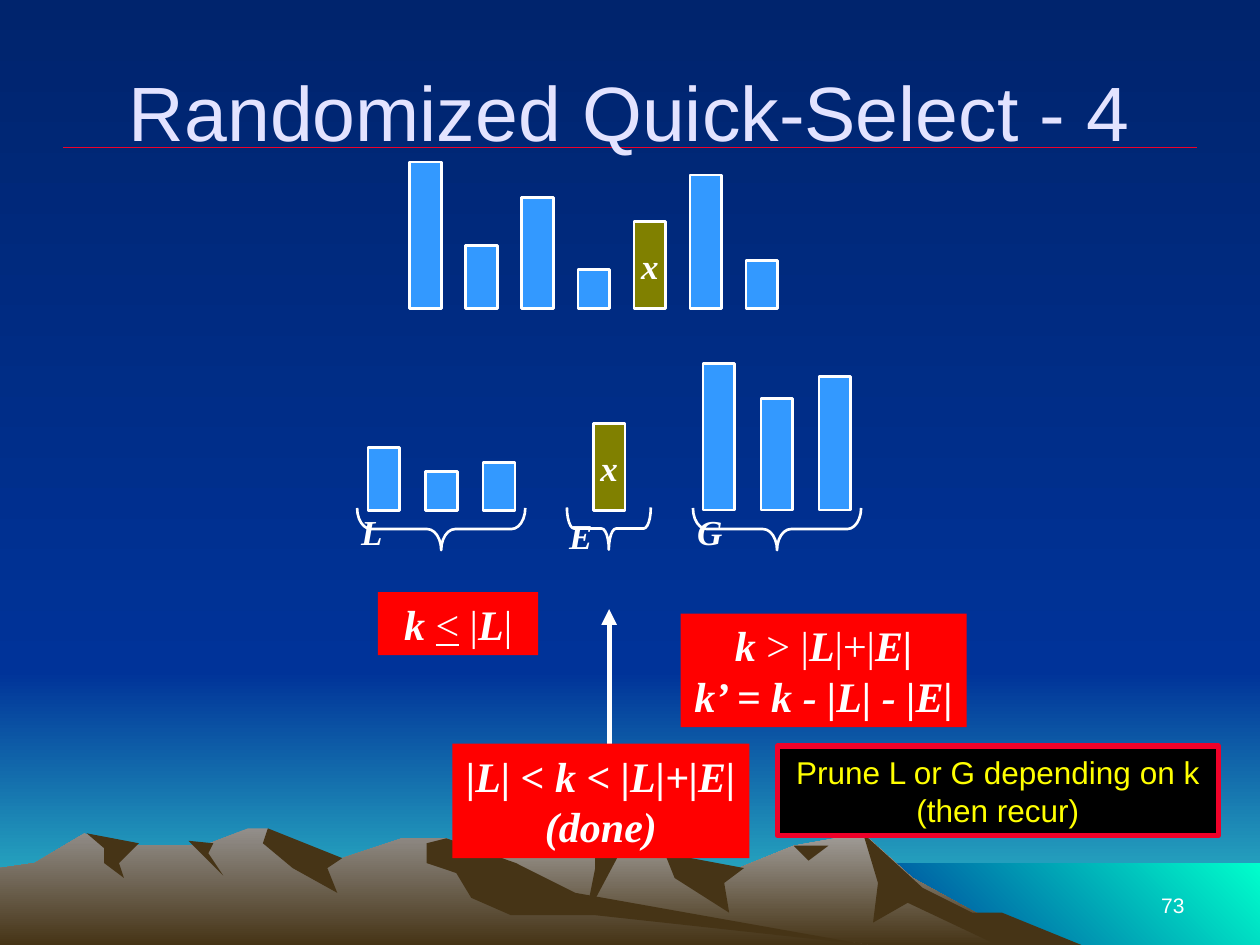
from lxml import etree
from pptx import Presentation
from pptx.dml.color import RGBColor
from pptx.enum.shapes import MSO_CONNECTOR, MSO_SHAPE
from pptx.enum.text import MSO_ANCHOR, MSO_AUTO_SIZE, PP_ALIGN
from pptx.oxml.ns import qn
from pptx.util import Cm, Pt

WHITE = RGBColor.from_string("FFFFFF")
LAVENDER = RGBColor.from_string("E3E3FF")
YELLOW = RGBColor.from_string("FFFF00")
BLACK = RGBColor.from_string("000000")
RED = RGBColor.from_string("FF0000")
CRIMSON = RGBColor.from_string("EF0129")
BLUE = RGBColor.from_string("3399FF")
OLIVE = RGBColor.from_string("808000")
NAVY = RGBColor.from_string("00246D")
ROYAL = RGBColor.from_string("003399")
TEAL = RGBColor.from_string("33CCCC")
AQUA = RGBColor.from_string("00FFCC")
STONE = RGBColor.from_string("A5A29F")
GREY = RGBColor.from_string("938F8B")
BROWN = RGBColor.from_string("463416")

SANS = {"name": "Arial", "bold": False, "italic": False}
SERIF = {"name": "Times New Roman", "bold": True, "italic": True}
PLAIN = {"bold": False, "italic": False}
UNDERLINED = {"bold": False, "italic": False, "underline": True}


def paint(fill, start, end=None, angle=270):
    if end is None:
        fill.solid()
        fill.fore_color.rgb = start
        return
    fill.gradient()
    fill.gradient_angle = angle
    for stop, color in zip(fill.gradient_stops, (start, end)):
        stop.color.rgb = color


def write(tf, paragraphs, font, size, color, align=PP_ALIGN.CENTER):
    for i, runs in enumerate(paragraphs):
        p = tf.add_paragraph() if i else tf.paragraphs[0]
        p.alignment = align
        for text, changes in runs:
            r = p.add_run()
            r.text = text
            for key, value in {**font, "size": Pt(size), **changes}.items():
                setattr(r.font, key, value)
            r.font.color.rgb = color


prs = Presentation()
prs.slide_width, prs.slide_height = Cm(25.4), Cm(19.05)
s = prs.slides.add_slide(prs.slide_layouts[5])
paint(s.background.fill, NAVY, ROYAL)

horizon = Cm(13.54)
sea_left, sea_top = Cm(17.35), Cm(17.4)
for left, top, bottom, colors in [
    (0, horizon, prs.slide_height, (ROYAL, TEAL)),
    (0, 0, horizon, (NAVY, ROYAL)),
    (sea_left, sea_top, prs.slide_height, (ROYAL, AQUA, 45)),
]:
    sp = s.shapes.add_shape(MSO_SHAPE.RECTANGLE, left, top, prs.slide_width - left, bottom - top)
    sp.shadow.inherit = False
    sp.line.fill.background()
    paint(sp.fill, *colors)

mountains = [
    ((STONE, BROWN), [
        (20.4, 18.8), (18.4, 17.7), (17.4, 16.8), (16, 17.05), (14.4, 17.7), (13.6, 17.5),
        (13.3, 17.1), (12.3, 17.1), (11.8, 16.7), (9, 17.7), (6.6, 19.05), (20.85, 19.05)]),
    ((BROWN,), [
        (20.2, 18.4), (19.6, 18.4), (18.6, 17.9), (17.4, 16.8), (17.7, 17.8), (17.6, 18.6),
        (18.3, 18.2), (20.1, 19.05), (21.8, 19.05)]),
    ((BROWN,), [(12, 16.7), (12, 17.5), (11.8, 18.5), (12.6, 17)]),
    ((BROWN,), [(13.4, 17.2), (13.6, 17.7), (14.7, 18.4), (14.6, 17.8), (15, 17.5)]),
    ((BROWN,), [(16, 17.05), (16.3, 17.35), (16.7, 17.05)]),
    ((GREY, BROWN), [
        (17.5, 19.05), (11, 18.1), (9, 16.9), (8.1, 16.9), (6.9, 17.3), (6, 17.3),
        (5.4, 16.7), (5, 16.7), (4.1, 17.05), (2.4, 17.05), (1.7, 16.8), (0.7, 17.4),
        (0, 17.5), (0, 19.05)]),
    ((BROWN,), [(5.4, 16.7), (5.3, 17), (5.9, 17.5), (6.8, 18), (6.6, 17.5), (6.9, 17.3)]),
    ((BROWN,), [
        (9, 16.9), (8.6, 17), (8.6, 17.4), (9.2, 17.6), (9.5, 18.1), (10.3, 18.45),
        (12, 18.45), (17.5, 19.05), (11.6, 18), (10.4, 17.4)]),
    ((BROWN,), [(3.8, 16.95), (4.3, 17), (4.2, 17.2), (4.5, 17.65)]),
    ((BROWN,), [
        (1.75, 16.8), (2.8, 17), (2.4, 17.4), (2.5, 17.7), (2.1, 17.4), (2.1, 17.1)]),
]
for colors, points in mountains:
    outline = [(Cm(x), Cm(y)) for x, y in points]
    builder = s.shapes.build_freeform(*outline[0])
    builder.add_line_segments(outline[1:], close=True)
    sp = builder.convert_to_shape()
    sp.shadow.inherit = False
    sp.line.fill.background()
    paint(sp.fill, *colors)

for x1, y1, x2, y2, color, width, arrow in [
    (1.27, 2.97, 24.13, 2.97, CRIMSON, 0.75, False),
    (12.28, 14.99, 12.28, 12.28, WHITE, 3, True),
]:
    sp = s.shapes.add_connector(MSO_CONNECTOR.STRAIGHT, Cm(x1), Cm(y1), Cm(x2), Cm(y2))
    sp.line.color.rgb = color
    sp.line.width = Pt(width)
    if arrow:
        etree.SubElement(sp.element.spPr.find(qn("a:ln")), qn("a:tailEnd"), type="triangle")
    etree.SubElement(sp.element.spPr, qn("a:effectLst"))

sp = s.shapes.add_textbox(Cm(18.21), Cm(17.35), Cm(5.92), Cm(1.27))
tf = sp.text_frame
tf.word_wrap = True
tf.vertical_anchor = MSO_ANCHOR.BOTTOM
write(tf, [[("73", {})]], SANS, 12, WHITE, PP_ALIGN.RIGHT)

title = s.shapes.title
title.left, title.top, title.width, title.height = Cm(1.27), Cm(0.64), Cm(22.86), Cm(3.18)
tf = title.text_frame
tf.auto_size = MSO_AUTO_SIZE.NONE
tf.vertical_anchor = MSO_ANCHOR.MIDDLE
write(tf, [[("Randomized Quick-Select - 4", {})]], SANS, 44, LAVENDER)
title.element.getparent().append(title.element)

PIVOT = 1.75
for left, step, bottom, heights in [
    (8.26, 1.13, 6.22, [2.95, 1.27, 2.24, 0.79, PIVOT, 2.69, 0.97]),
    (7.42, 1.16, 10.29, [1.27, 0.79, 0.97]),
    (11.96, 0, 10.29, [PIVOT]),
    (14.17, 1.17, 10.28, [2.95, 2.24, 2.69]),
]:
    for i, height in enumerate(heights):
        sp = s.shapes.add_shape(MSO_SHAPE.RECTANGLE, Cm(left + i * step), Cm(bottom - height),
                                Cm(0.64), Cm(height))
        sp.shadow.inherit = False
        sp.line.color.rgb = WHITE
        sp.line.width = Pt(1.5)
        paint(sp.fill, OLIVE if height == PIVOT else BLUE)
        if height == PIVOT:
            sp.text_frame.word_wrap = False
            write(sp.text_frame, [[("x", {})]], SERIF, 20, WHITE)

for label, left, top, length, curve in [
    ("L", 8.47, 8.97, 3.39, 0.33),
    ("G", 15.24, 8.97, 3.39, 0.33),
    ("E", 11.85, 9.81, 1.69, 0.17),
]:
    sp = s.shapes.add_shape(MSO_SHAPE.LEFT_BRACE, Cm(left), Cm(top), Cm(0.85), Cm(length))
    sp.rotation = 270
    sp.adjustments[0] = curve
    sp.shadow.inherit = False
    sp.fill.background()
    sp.line.color.rgb = WHITE
    sp.line.width = Pt(1.5)
    tf = sp.text_frame
    for key, value in {"margin_left": Cm(0.25), "margin_top": 0, "margin_right": Cm(1.52),
                       "margin_bottom": 0, "word_wrap": False,
                       "vertical_anchor": MSO_ANCHOR.TOP}.items():
        setattr(tf, key, value)
    sp.element.txBody.find(qn("a:bodyPr")).set("vert", "eaVert")
    write(tf, [[(label, {})]], SERIF, 20, WHITE)

for left, top, width, height, fill, line, wrap, font, size, color, paragraphs in [
    (7.62, 11.94, 3.23, 1.27, RED, None, True, SERIF, 24, WHITE,
     [[("k ", {}), ("<", UNDERLINED), (" |", PLAIN), ("L", {}), ("|", PLAIN)]]),
    (15.67, 15.04, 8.89, 1.8, BLACK, CRIMSON, True, SANS, 18, YELLOW,
     [[("Prune L or G depending on k (then recur)", {})]]),
    (9.12, 14.99, 5.99, 2.31, RED, None, False, SERIF, 24, WHITE,
     [[("|L| < k < |L|+|E|", {})], [("(done)", {})]]),
    (13.72, 12.37, 5.77, 2.29, RED, None, False, SERIF, 24, WHITE,
     [[("k ", {}), ("> |", PLAIN), ("L", {}), ("|+|", PLAIN), ("E|", {})],
      [("k’ = k - |L| - |E|", {})]]),
]:
    sp = s.shapes.add_shape(MSO_SHAPE.RECTANGLE, Cm(left), Cm(top), Cm(width), Cm(height))
    sp.shadow.inherit = False
    paint(sp.fill, fill)
    if line is None:
        sp.line.fill.background()
    else:
        sp.line.color.rgb = line
        sp.line.width = Pt(3)
    tf = sp.text_frame
    tf.word_wrap = wrap
    tf.auto_size = MSO_AUTO_SIZE.SHAPE_TO_FIT_TEXT
    write(tf, paragraphs, font, size, color)

prs.save("out.pptx")
